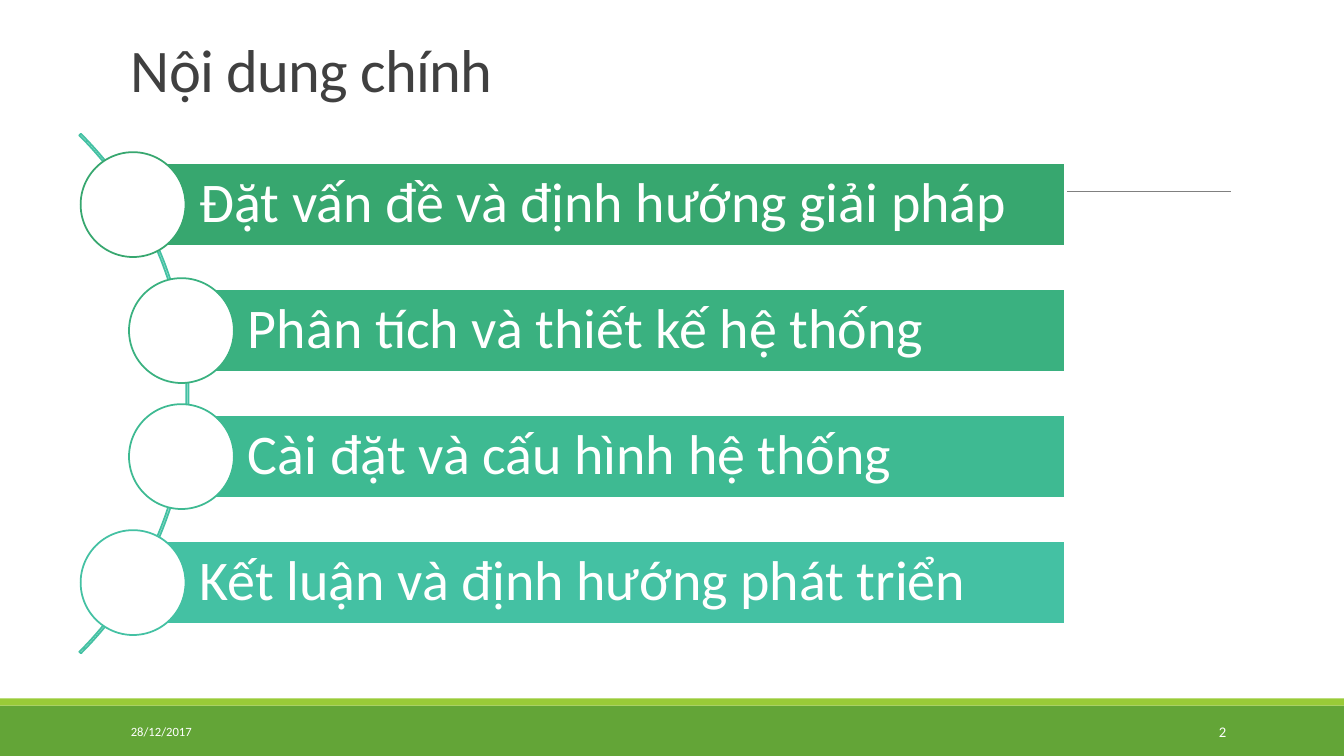
"""Build the agenda slide: four topics strung along an arc."""
from lxml import etree
from pptx import Presentation
from pptx.dml.color import RGBColor
from pptx.enum import shapes, text
from pptx.oxml import ns
from pptx.util import Inches, Pt

COLORS = {
    "white": "FFFFFF", "title": "404040", "rule": "808080",
    "footer": "63A537", "accent": "99CB38", "arc": "44C1A3",
}
TOPICS = [
    ("Đặt vấn đề và định hướng giải pháp", 1.32, "37A76F"),
    ("Phân tích và thiết kế hệ thống", 1.8, "3AB180"),
    ("Cài đặt và cấu hình hệ thống", 1.8, "3EBA92"),
    ("Kết luận và định hướng phát triển", 1.32, "44C1A3"),
]
FIRST_CENTER, TOPIC_STEP = 2.03, 1.25
BAR_RIGHT, BAR_HEIGHT = 10.57, 0.83
CIRCLE_SIZE = 1.04


def rgb(value):
    return RGBColor.from_string(value)


def add_figure(slide, kind, box, fill=None, line=None, width=1.25):
    figure = slide.shapes.add_shape(kind, *map(Inches, box))
    figure.shadow.inherit = False
    if fill:
        figure.fill.solid()
        figure.fill.fore_color.rgb = rgb(fill)
    else:
        figure.fill.background()
    if line:
        figure.line.color.rgb = rgb(line)
        figure.line.width = Pt(width)
    else:
        figure.line.fill.background()
    return figure


def write(frame, words, size, color, align=text.PP_ALIGN.LEFT,
          anchor=text.MSO_ANCHOR.MIDDLE, spacing=1.0):
    frame.word_wrap = True
    frame.vertical_anchor = anchor
    frame.text = words
    paragraph = frame.paragraphs[0]
    paragraph.alignment = align
    paragraph.line_spacing = spacing
    run = paragraph.runs[0]
    run.font.size = Pt(size)
    run.font.name = "Calibri"
    run.font.color.rgb = rgb(color)
    return run


def add_label(slide, box, *args, **options):
    label = slide.shapes.add_textbox(*map(Inches, box))
    return write(label.text_frame, *args, **options)


def add_rule(slide, left, right, top):
    rule = slide.shapes.add_connector(
        shapes.MSO_CONNECTOR.STRAIGHT,
        Inches(left), Inches(top), Inches(right), Inches(top))
    rule.line.color.rgb = rgb(COLORS["rule"])
    rule.line.width = Pt(0.5)
    etree.SubElement(rule._element.spPr, ns.qn("a:effectLst"))


def add_topic(slide, words, left, center, color):
    bar = add_figure(
        slide, shapes.MSO_SHAPE.RECTANGLE,
        (left, center - BAR_HEIGHT / 2, BAR_RIGHT - left, BAR_HEIGHT),
        color, COLORS["white"], 2)
    frame = bar.text_frame
    frame.margin_left = Inches(0.66)
    frame.margin_top = frame.margin_right = frame.margin_bottom = Inches(0.11)
    write(frame, words, 40, COLORS["white"], spacing=0.9)
    radius = CIRCLE_SIZE / 2
    add_figure(slide, shapes.MSO_SHAPE.OVAL,
               (left - radius, center - radius, CIRCLE_SIZE, CIRCLE_SIZE),
               COLORS["white"], color)


def add_arc(slide):
    arc = add_figure(slide, shapes.MSO_SHAPE.BLOCK_ARC,
                     (-5.42, 0.26, 7.29, 7.29), line=COLORS["arc"])
    for index, value in enumerate((189, 27, 0.003)):
        arc.adjustments[index] = value


def main():
    deck = Presentation()
    deck.slide_width, deck.slide_height = Inches(13.33), Inches(7.5)
    slide = deck.slides.add_slide(deck.slide_layouts[6])

    add_figure(slide, shapes.MSO_SHAPE.RECTANGLE, (0, 7, 13.33, 0.5), COLORS["footer"])
    add_figure(slide, shapes.MSO_SHAPE.RECTANGLE, (0, 6.93, 13.33, 0.07), COLORS["accent"])
    add_rule(slide, 1.31, 12.21, 1.9)

    title = add_label(slide, (1.2, 0.31, 11, 0.78), "Nội dung chính", 43.2,
                      COLORS["title"], anchor=text.MSO_ANCHOR.BOTTOM, spacing=0.85)
    title._r.get_or_add_rPr().set("spc", "-50")
    add_label(slide, (1.2, 7.06, 2.7, 0.4), "28/12/2017", 9, COLORS["white"])
    add_label(slide, (10.83, 7.06, 1.43, 0.4), "2", 10.5, COLORS["white"],
              align=text.PP_ALIGN.RIGHT)

    add_arc(slide)
    for index, (words, left, color) in enumerate(TOPICS):
        add_topic(slide, words, left, FIRST_CENTER + index * TOPIC_STEP, color)

    deck.save("out.pptx")


if __name__ == "__main__":
    main()
